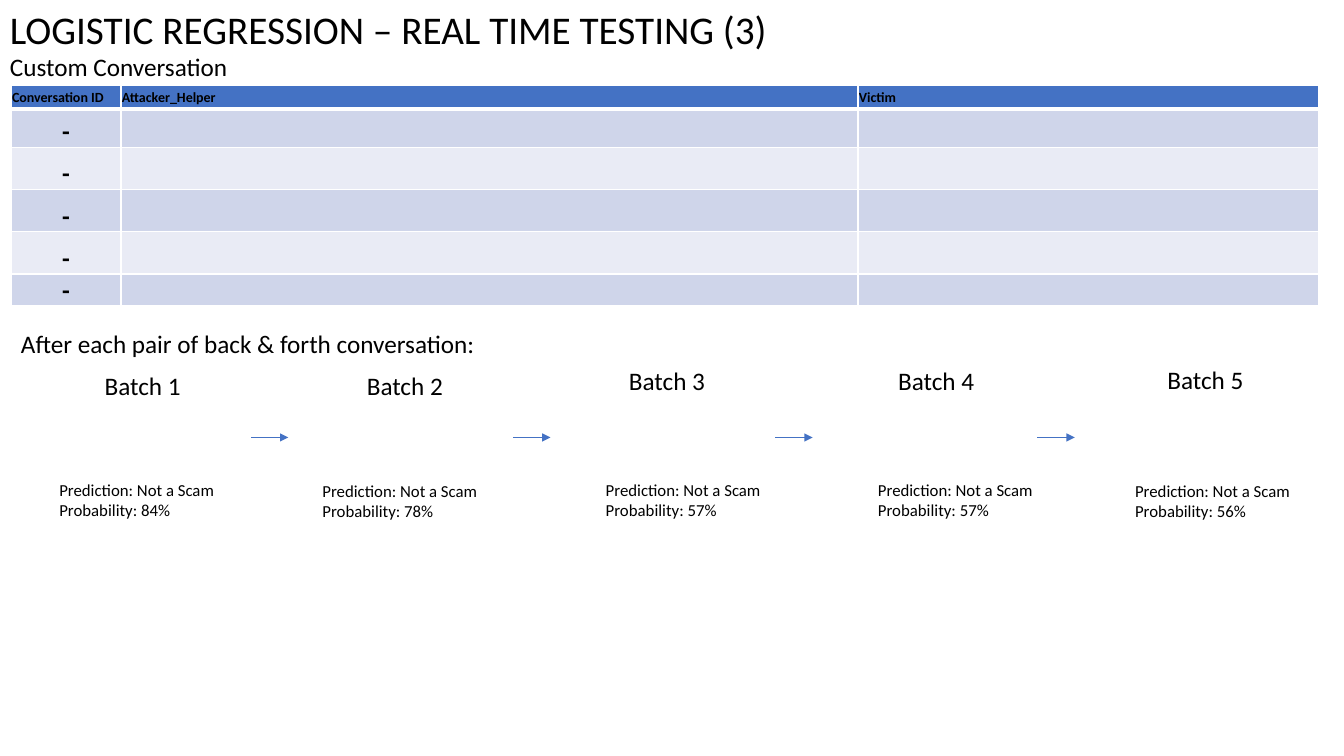
from lxml import etree
from pptx import Presentation
from pptx.dml.color import RGBColor
from pptx.enum import shapes, text
from pptx.oxml import parse_xml
from pptx.oxml.ns import nsdecls, qn
from pptx.util import Inches, Pt

COLORS = {"text": "000000", "accent": "4472C4", "border": "FFFFFF",
          "odd": "CFD5EA", "even": "E9EBF5"}
FONT = "Calibri"


def style_text(frame, size, bold=None):
    for paragraph in frame.paragraphs:
        for run in paragraph.runs:
            run.font.name = FONT
            run.font.size = Pt(size)
            run.font.bold = bold
            run.font.color.rgb = RGBColor.from_string(COLORS["text"])


def add_label(left, top, width, height, content, size, wrap=False):
    box = slide.shapes.add_textbox(Inches(left), Inches(top), Inches(width), Inches(height))
    frame = box.text_frame
    frame.text = content
    frame.word_wrap = wrap
    frame.auto_size = text.MSO_AUTO_SIZE.SHAPE_TO_FIT_TEXT
    style_text(frame, size)


presentation = Presentation()
presentation.slide_width = Inches(13.33)
presentation.slide_height = Inches(7.5)
slide = presentation.slides.add_slide(presentation.slide_layouts[6])

add_label(0, 0, 13.33, 0.57, "LOGISTIC REGRESSION – REAL TIME TESTING (3)", 28, wrap=True)
add_label(0, 0.46, 2.38, 0.4, "Custom Conversation", 18)
add_label(0.11, 3.21, 4.76, 0.4, "After each pair of back & forth conversation:", 18)

batches = [
    (0.94, 3.62, 0.49, 4.71, 84),
    (3.54, 3.62, 3.1, 4.72, 78),
    (6.14, 3.58, 5.91, 4.71, 57),
    (8.81, 3.58, 8.61, 4.71, 57),
    (11.48, 3.57, 11.16, 4.72, 56),
]
for number, (left, top, result_left, result_top, probability) in enumerate(batches, 1):
    add_label(left, top, 0.96, 0.4, f"Batch {number}", 18)
    add_label(result_left, result_top, 1.76, 0.5,
              f"Prediction: Not a Scam\nProbability: {probability}%", 12)

arrow_start, arrow_step, arrow_length, arrow_y = 2.49, 2.6, 0.37, 4.34
for index in range(len(batches) - 1):
    left = arrow_start + index * arrow_step
    arrow = slide.shapes.add_connector(
        shapes.MSO_CONNECTOR.STRAIGHT, Inches(left), Inches(arrow_y),
        Inches(left + arrow_length), Inches(arrow_y))
    arrow.line.color.rgb = RGBColor.from_string(COLORS["accent"])
    arrow.line.width = Pt(0.5)
    etree.SubElement(arrow.line._get_or_add_ln(), qn("a:tailEnd"), type="triangle")
    etree.SubElement(arrow._element.spPr, qn("a:effectLst"))

headers = ["Conversation ID", "Attacker_Helper", "Victim"]
column_widths = [1.09, 7.31, 4.57]
row_heights = [0.23, 0.38, 0.42, 0.42, 0.42, 0.3]
table = slide.shapes.add_table(
    len(row_heights), len(headers), Inches(0.11), Inches(0.85),
    Inches(sum(column_widths)), Inches(sum(row_heights))).table
for column, width in zip(table.columns, column_widths):
    column.width = Inches(width)

for row_index, height in enumerate(row_heights):
    table.rows[row_index].height = Inches(height)
    is_header = row_index == 0
    fill = "accent" if is_header else "odd" if row_index % 2 else "even"
    for column_index, header in enumerate(headers):
        cell = table.cell(row_index, column_index)
        cell.margin_left = cell.margin_right = cell.margin_top = Inches(0.01)
        cell.margin_bottom = 0
        cell.fill.solid()
        cell.fill.fore_color.rgb = RGBColor.from_string(COLORS[fill])
        if is_header:
            cell.text_frame.text = header
            cell.vertical_anchor = text.MSO_ANCHOR.MIDDLE
            style_text(cell.text_frame, 10, bold=True)
        elif column_index == 0:
            cell.text_frame.text = "-"
            cell.vertical_anchor = text.MSO_ANCHOR.BOTTOM
            cell.text_frame.paragraphs[0].alignment = text.PP_ALIGN.CENTER
            style_text(cell.text_frame, 18, bold=True)
        border_widths = {"L": 1, "R": 1, "T": 3 if row_index == 1 else 1,
                         "B": 3 if is_header else 1}
        for position, (side, width) in enumerate(border_widths.items()):
            border = parse_xml(
                f'<a:ln{side} {nsdecls("a")} w="{Pt(width)}"><a:solidFill>'
                f'<a:srgbClr val="{COLORS["border"]}"/></a:solidFill></a:ln{side}>')
            cell._tc.get_or_add_tcPr().insert(position, border)

presentation.save("out.pptx")
